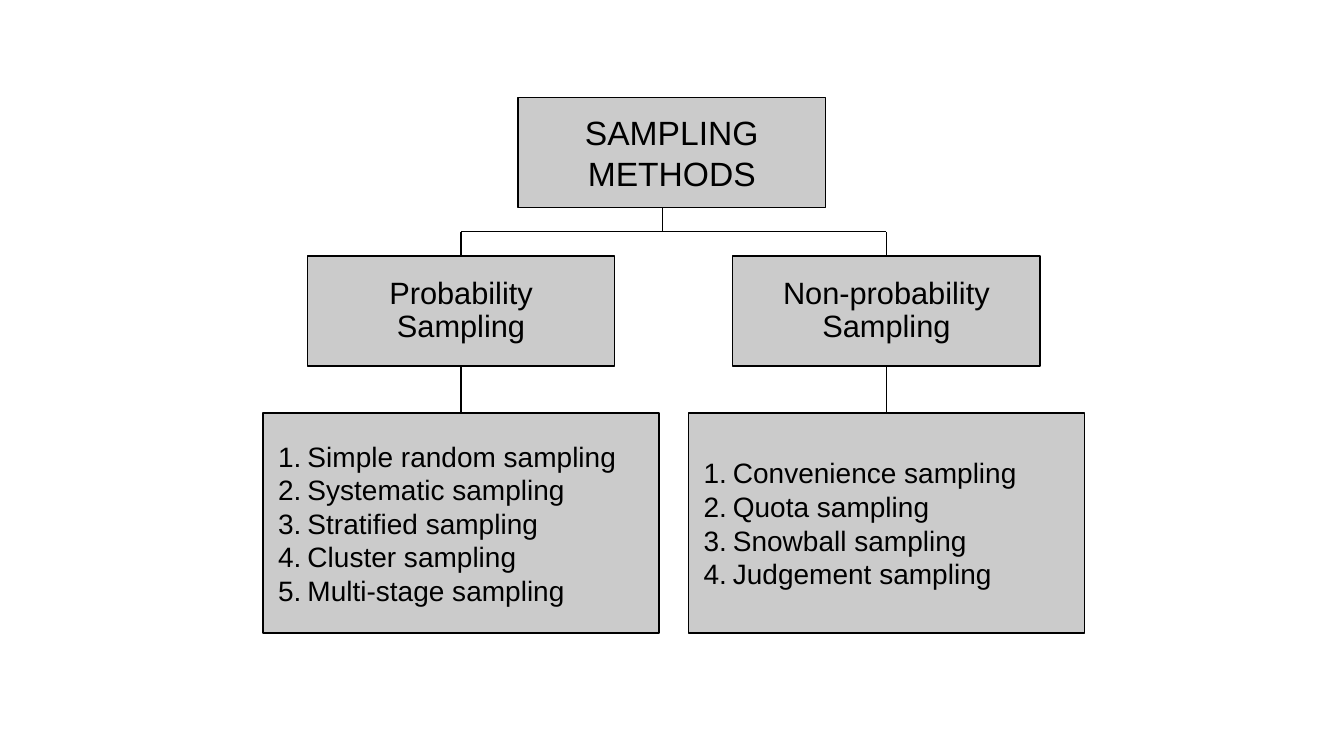
from lxml import etree
from pptx import Presentation
from pptx.dml.color import RGBColor
from pptx.enum.shapes import MSO_CONNECTOR, MSO_SHAPE
from pptx.enum.text import MSO_ANCHOR, PP_ALIGN
from pptx.oxml.ns import qn
from pptx.util import Cm, Pt

RECTANGLE = MSO_SHAPE.RECTANGLE
STRAIGHT = MSO_CONNECTOR.STRAIGHT
MIDDLE = MSO_ANCHOR.MIDDLE
CENTER, LEFT = PP_ALIGN.CENTER, PP_ALIGN.LEFT

FONT, GREY, BLACK = "Arial", "CBCBCB", "000000"

# Layout in centimetres
NODE_WIDTH, NODE_HEIGHT = 7.75, 2.77
LIST_WIDTH, LIST_HEIGHT = 9.98, 5.54
ROOT_CENTER, ROOT_TOP = 16.93, 2.46
STEM_X, BAR_Y = 16.69, 5.84
BRANCH_TOP, LIST_TOP = 6.45, 10.41

# Centre of the branch, its title and its methods
BRANCHES = [
    (11.62, "Probability\nSampling", [
        "Simple random sampling", "Systematic sampling", "Stratified sampling",
        "Cluster sampling", "Multi-stage sampling"]),
    (22.34, "Non-probability\nSampling", [
        "Convenience sampling", "Quota sampling", "Snowball sampling",
        "Judgement sampling"]),
]


def color(value):
    return RGBColor.from_string(value)


def add_line(page, x1, y1, x2, y2):
    line = page.shapes.add_connector(STRAIGHT, Cm(x1), Cm(y1), Cm(x2), Cm(y2))
    line.line.color.rgb = color(BLACK)
    line.line.width = Pt(1)
    etree.SubElement(line._element.spPr, qn("a:effectLst"))


def add_box(page, center, top, width, height, texts, size, align, inset, spacing=1.0):
    box = page.shapes.add_shape(
        RECTANGLE, Cm(center - width / 2), Cm(top), Cm(width), Cm(height))
    box.shadow.inherit = False
    box.fill.solid()
    box.fill.fore_color.rgb = color(GREY)
    box.line.color.rgb = color(BLACK)
    box.line.width = Pt(1)

    frame = box.text_frame
    frame.word_wrap = True
    frame.vertical_anchor = MIDDLE
    frame.margin_left = frame.margin_right = Cm(inset)
    frame.margin_top = frame.margin_bottom = Cm(inset)
    for index, text in enumerate(texts):
        para = frame.add_paragraph() if index else frame.paragraphs[0]
        para.text = text
        para.alignment = align
        para.line_spacing = spacing
        for span in para.runs:
            span.font.name = FONT
            span.font.size = Pt(size)
            span.font.color.rgb = color(BLACK)
    return box


def number_paragraphs(box, indent):
    for para in box.text_frame.paragraphs:
        properties = para._p.get_or_add_pPr()
        properties.set("marL", str(Cm(indent)))
        properties.set("indent", str(-Cm(indent)))
        etree.SubElement(properties, qn("a:buFont"), typeface="+mj-lt")
        etree.SubElement(properties, qn("a:buAutoNum"), type="arabicPeriod")


def add_root(page, center, top):
    add_box(page, center, top, NODE_WIDTH, NODE_HEIGHT,
            ["SAMPLING METHODS"], 24, CENTER, 0.13)
    # Stem and crossbar down to the branches
    add_line(page, STEM_X, top + NODE_HEIGHT, STEM_X, BAR_Y)
    add_line(page, BRANCHES[0][0], BAR_Y, BRANCHES[-1][0], BAR_Y)


def add_branch(page, center, top, title, methods):
    add_line(page, center, BAR_Y, center, top)
    add_line(page, center, top + NODE_HEIGHT, center, LIST_TOP)
    add_box(page, center, top, NODE_WIDTH, NODE_HEIGHT, [title], 22, CENTER, 0.13, 0.9)
    # Numbered methods
    box = add_box(page, center, LIST_TOP, LIST_WIDTH, LIST_HEIGHT,
                  methods, 20, LEFT, 0.38)
    number_paragraphs(box, 0.74)


def main():
    deck = Presentation()
    deck.slide_width, deck.slide_height = Cm(33.87), Cm(19.05)
    page = deck.slides.add_slide(deck.slide_layouts[6])
    add_root(page, ROOT_CENTER, ROOT_TOP)
    for center, title, methods in BRANCHES:
        add_branch(page, center, BRANCH_TOP, title, methods)
    deck.save("out.pptx")


if __name__ == "__main__":
    main()
